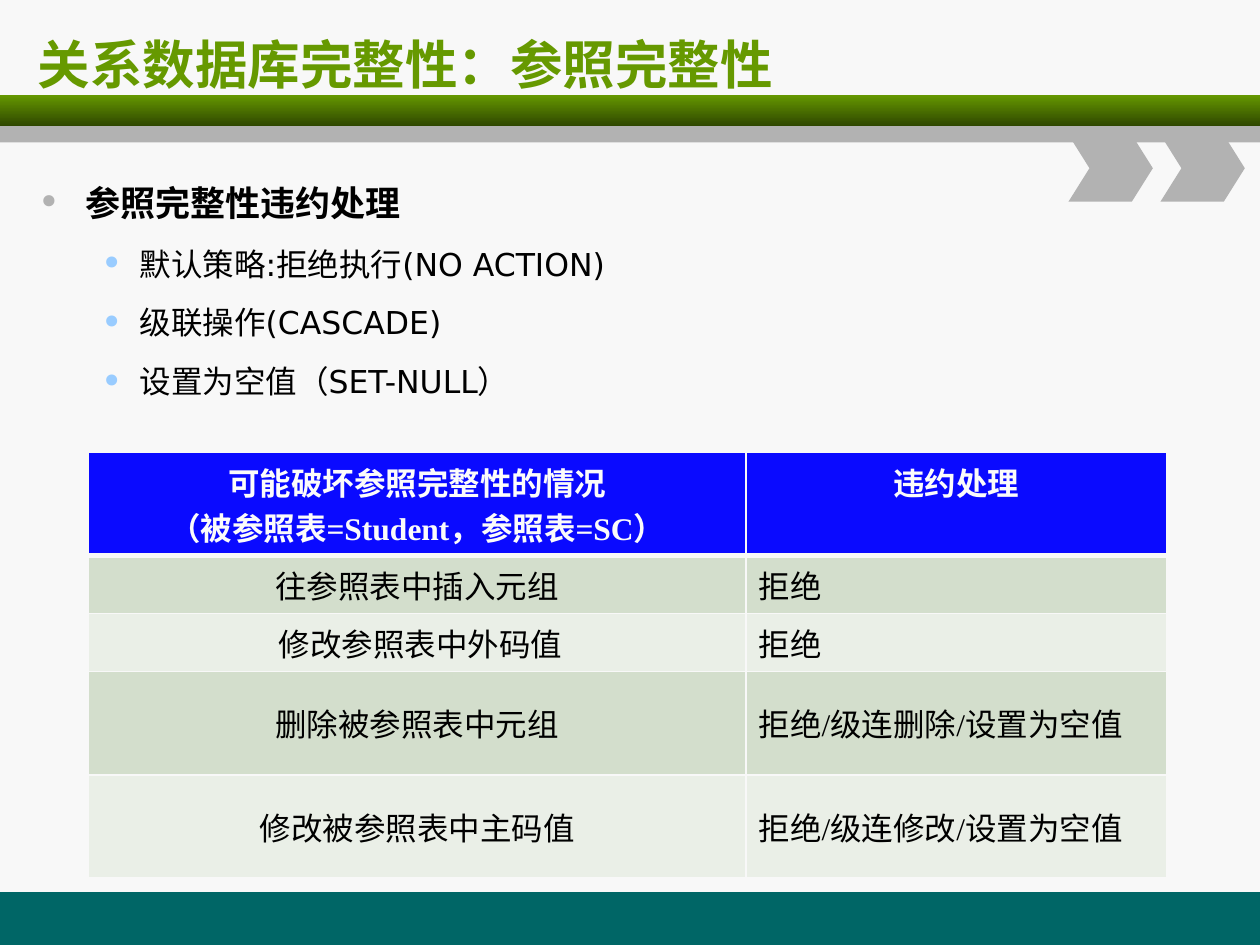
from pptx import Presentation
from pptx.dml.color import RGBColor
from pptx.enum.shapes import MSO_SHAPE as Shape
from pptx.enum.text import MSO_ANCHOR as Anchor, PP_ALIGN as Align
from pptx.oxml.ns import qn
from pptx.util import Inches, Pt
from lxml.etree import SubElement

SANS, SERIF = "DejaVu Sans", "Times New Roman"
PAPER, GREEN, GREY, BLACK = "F8F8F8", "669900", "B2B2B2", "000000"
WIDTH, HEIGHT = 10, 7.5

TITLE = "关系数据库完整性：参照完整性"
HEADING = "参照完整性违约处理"
POLICIES = ["默认策略:拒绝执行(NO ACTION)", "级联操作(CASCADE)", "设置为空值（SET-NULL）"]
VIOLATIONS = [
    ("可能破坏参照完整性的情况\n（被参照表=Student，参照表=SC）", "违约处理"),
    ("往参照表中插入元组", "拒绝"),
    (" 修改参照表中外码值", "拒绝"),
    ("删除被参照表中元组", "拒绝/级连删除/设置为空值"),
    ("修改被参照表中主码值", "拒绝/级连修改/设置为空值"),
]
ONE_LINE, TWO_LINES = 0.46, 0.82
ROW_HEIGHTS = [TWO_LINES, ONE_LINE, ONE_LINE, TWO_LINES, TWO_LINES]
CASE_SHARE = 0.61


def color(value):
    """Turn a hex string into a colour."""
    return RGBColor.from_string(value)


def write(paragraph, text, size=18, font=SANS, ink=BLACK, bold=False, align=Align.LEFT):
    """Fill a paragraph with formatted text."""
    run = paragraph.add_run()
    run.text = text
    run.font.size, run.font.name, run.font.bold = Pt(size), font, bold
    run.font.color.rgb = color(ink)
    paragraph.alignment = align


def add_bullet(paragraph, ink, size, margin, hang):
    """Give a paragraph a coloured round bullet and a hanging indent."""
    props = paragraph._p.get_or_add_pPr()
    props.set("marL", str(Inches(margin)))
    props.set("indent", str(-Inches(hang)))
    SubElement(SubElement(props, qn("a:buClr")), qn("a:srgbClr"), val=ink)
    SubElement(props, qn("a:buSzPct"), val=str(size * 1000))
    SubElement(props, qn("a:buFont"), typeface=SANS)
    SubElement(props, qn("a:buChar"), char="•")


def set_borders(cell, bottom):
    """Draw the four borders of a cell, the bottom one in its own width."""
    props = cell._tc.get_or_add_tcPr()
    for place, (side, width) in enumerate(zip("LRTB", (1, 1, 1, bottom))):
        line = props.makeelement(qn(f"a:ln{side}"), {"w": str(Pt(width))})
        SubElement(SubElement(line, qn("a:solidFill")), qn("a:srgbClr"), val=PAPER)
        props.insert(place, line)


def add_block(slide, kind, left, top, width, height, fill):
    """Add a flat shape without outline."""
    block = slide.shapes.add_shape(kind, *map(Inches, (left, top, width, height)))
    block.shadow.inherit = False
    block.line.fill.background()
    block.fill.solid()
    block.fill.fore_color.rgb = color(fill)
    return block


def build_header_band(slide, left, top, width, height):
    """Place the green and grey bars with two chevrons below."""
    bar = add_block(slide, Shape.RECTANGLE, left, top, width, height * 0.66, GREEN)
    bar.fill.gradient()
    bar.fill.gradient_angle = 270
    for stop, shade, position in zip(bar.fill.gradient_stops, (GREEN, "2F4700"), (0, 1)):
        stop.color.rgb, stop.position = color(shade), position
    add_block(slide, Shape.RECTANGLE, left, top + height * 0.66, width, height * 0.34, GREY)
    for share in (0.848, 0.921):
        chevron = add_block(slide, Shape.CHEVRON, left + width * share, top + height * 0.84,
                            width * 0.067, height * 1.4, GREY)
        chevron.adjustments[0] = 0.314


def build_title(slide, left, top, width, height):
    """Move and fill the title placeholder."""
    title = slide.shapes.title
    title.left, title.top, title.width, title.height = map(Inches, (left, top, width, height))
    title.text_frame.vertical_anchor = Anchor.MIDDLE
    write(title.text_frame.paragraphs[0], TITLE, size=30, ink=GREEN, bold=True)


def build_policies(slide, left, top, width, height):
    """Place the heading with its list of policies."""
    frame = slide.shapes.add_textbox(*map(Inches, (left, top, width, height))).text_frame
    frame.word_wrap = True
    heading = frame.paragraphs[0]
    heading.line_spacing = Pt(30)
    add_bullet(heading, GREY, 110, 0.38, 0.38)
    write(heading, HEADING, size=20, bold=True)
    for policy in POLICIES:
        item = frame.add_paragraph()
        item.level, item.line_spacing, item.space_before = 1, Pt(30), Pt(3.6)
        add_bullet(item, "99CCFF", 120, 0.81, 0.31)
        write(item, policy)


def build_violations(slide, left, top, width, height):
    """Place the table of violations and their handling."""
    table = slide.shapes.add_table(len(VIOLATIONS), 2,
                                   *map(Inches, (left, top, width, height))).table
    for column, share in zip(table.columns, (CASE_SHARE, 1 - CASE_SHARE)):
        column.width = Inches(width * share)
    for number, entries in enumerate(VIOLATIONS):
        table.rows[number].height = Inches(ROW_HEIGHTS[number])
        head = number == 0
        band = "0A0AFF" if head else ("EAEFE7", "D3DECC")[number % 2]
        for place, entry in enumerate(entries):
            cell = table.cell(number, place)
            cell.fill.solid()
            cell.fill.fore_color.rgb = color(band)
            cell.vertical_anchor = Anchor.TOP if head else Anchor.MIDDLE
            set_borders(cell, 3 if head else 1)
            frame = cell.text_frame
            for order, line in enumerate(entry.split("\n")):
                write(frame.add_paragraph() if order else frame.paragraphs[0], line,
                      font=SERIF, ink="FBFBFB" if head else BLACK, bold=head,
                      align=Align.CENTER if head or place == 0 else Align.LEFT)


def main():
    """Build the slide and save it."""
    deck = Presentation()
    deck.slide_width, deck.slide_height = Inches(WIDTH), Inches(HEIGHT)
    slide = deck.slides.add_slide(deck.slide_layouts[5])
    slide.background.fill.solid()
    slide.background.fill.fore_color.rgb = color(PAPER)
    add_block(slide, Shape.RECTANGLE, 0, HEIGHT - 0.42, WIDTH, 0.42, "006666")
    build_header_band(slide, 0, HEIGHT * 0.1, WIDTH, 0.38)
    build_title(slide, WIDTH * 0.02, 0.17, 9.55, 0.67)
    build_policies(slide, WIDTH * 0.02, 1.31, 5.58, 2.44)
    build_violations(slide, WIDTH * 0.07, 3.59, 8.56, sum(ROW_HEIGHTS))
    deck.save("out.pptx")


if __name__ == "__main__":
    main()
